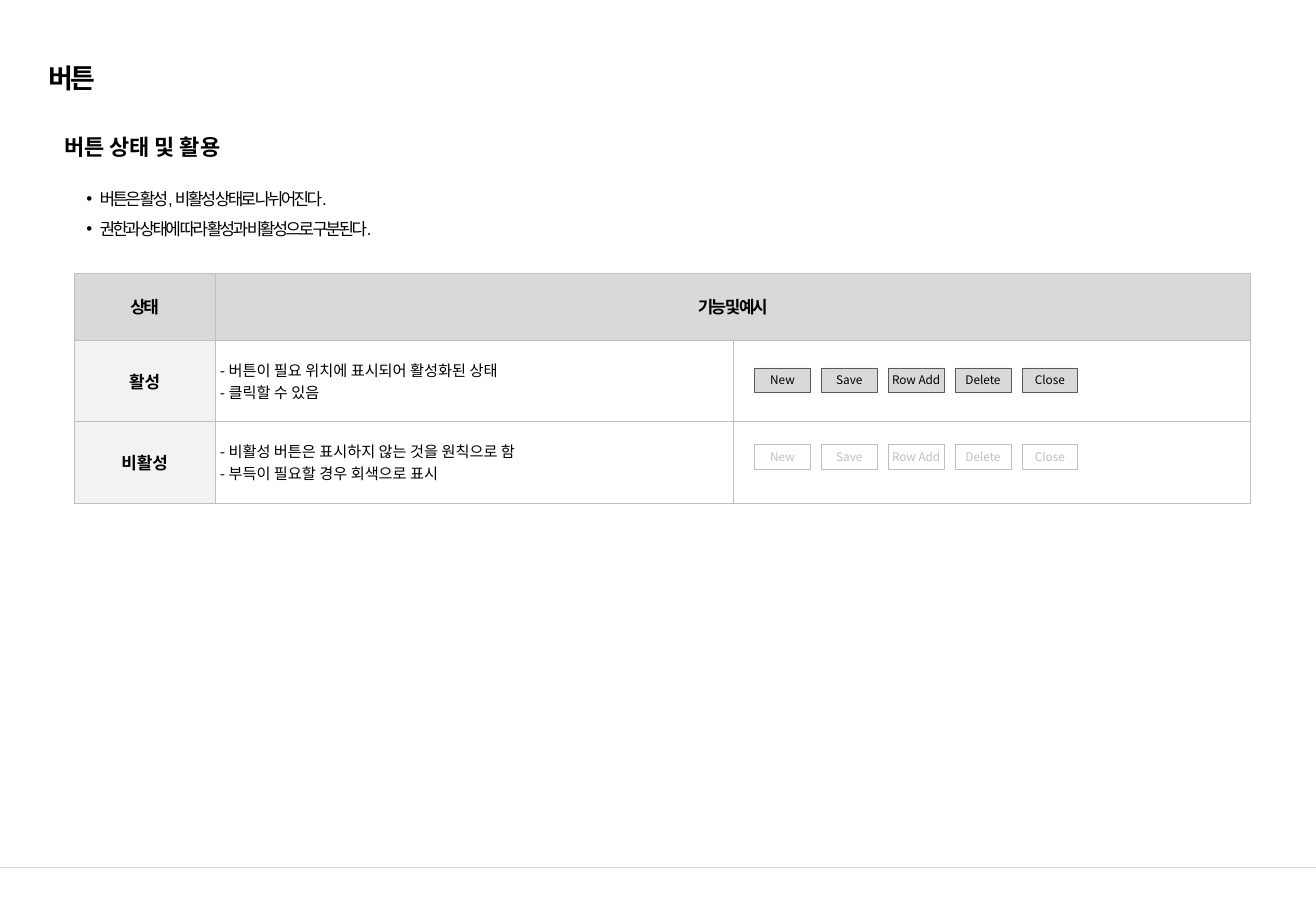
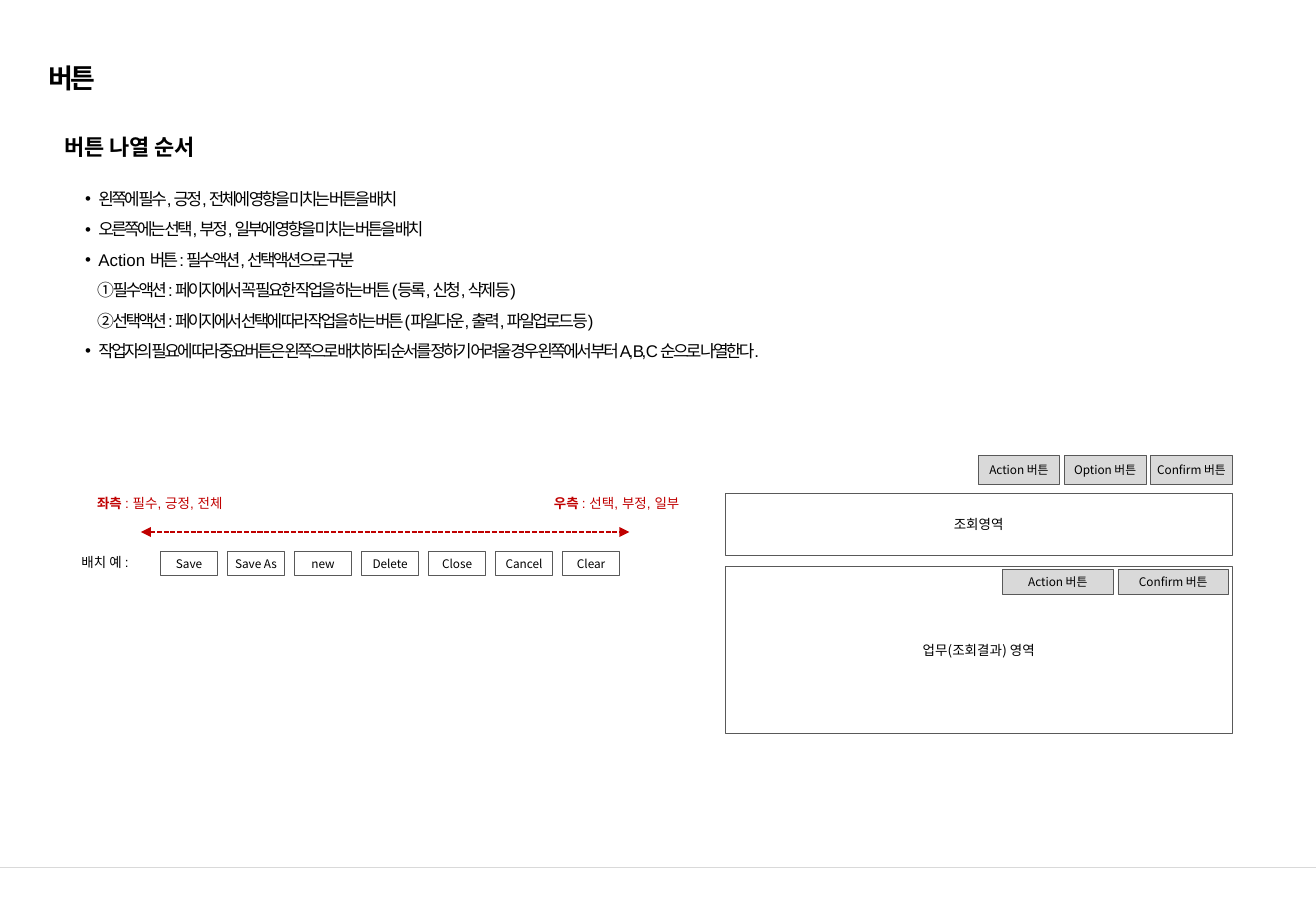
from lxml import etree
from pptx import Presentation
from pptx.dml.color import RGBColor
from pptx.enum.dml import MSO_LINE
from pptx.enum.shapes import MSO_CONNECTOR, MSO_SHAPE
from pptx.enum.text import MSO_ANCHOR as ANCHOR, MSO_AUTO_SIZE as AUTO, PP_ALIGN as ALIGN
from pptx.oxml.ns import qn
from pptx.util import Inches, Pt

COLORS = {
    "text": "000000",
    "white": "FFFFFF",
    "rule": "D9D9D9",
    "fill": "D9D9D9",
    "row_head": "F2F2F2",
    "outline": "595959",
    "muted": "BFBFBF",
    "accent": "C00000",
}
LATIN, KOREAN = "Arial", "Noto Sans CJK KR"
WIDTH, HEIGHT = 10.83, 7.5
TIGHT = -1.5
BULLET_INDENT, BULLET_HANG, STEP_INDENT = 0.2, 0.11, 0.19


def rgb(name):
    return RGBColor.from_string(COLORS[name])


def inches(box):
    return [Inches(v) for v in box]


def sub(parent, tag, **attrs):
    return etree.SubElement(parent, qn(tag), attrs)


def add_run(p, text, size, font=LATIN, color="text", bold=False, spacing=0):
    """Add one run; spacing is the letter spacing in points."""
    r = p.add_run()
    r.text = text
    r.font.size, r.font.bold, r.font.name = Pt(size), bold, font
    r.font.color.rgb = rgb(color)
    rpr = r._r.get_or_add_rPr()
    sub(rpr, "a:ea", typeface=KOREAN)
    if spacing:
        rpr.set("spc", str(int(spacing * 100)))


def next_paragraph(tf, index):
    return tf.add_paragraph() if index else tf.paragraphs[0]


def set_margins(target, x, y):
    target.margin_left = target.margin_right = Inches(x)
    target.margin_top = target.margin_bottom = Inches(y)


def add_text_box(shapes, box, margins=(0, 0), anchor=ANCHOR.TOP, grow=True):
    tf = shapes.add_textbox(*inches(box)).text_frame
    tf.word_wrap = True
    tf.auto_size = AUTO.SHAPE_TO_FIT_TEXT if grow else AUTO.NONE
    tf.vertical_anchor = anchor
    set_margins(tf, *margins)
    return tf


def add_line(shapes, start, end, color, width):
    line = shapes.add_connector(MSO_CONNECTOR.STRAIGHT, *inches(start + end))
    line.line.color.rgb = rgb(color)
    line.line.width = Pt(width)
    sub(line._element.spPr, "a:effectLst")
    return line


def add_panel(shapes, box, label, size=8, fill="white", line="outline", color="text", inset=0.1):
    sp = shapes.add_shape(MSO_SHAPE.RECTANGLE, *inches(box))
    sp.shadow.inherit = False
    sp.fill.solid()
    sp.fill.fore_color.rgb = rgb(fill)
    sp.line.color.rgb = rgb(line)
    sp.line.width = Pt(0.25)
    tf = sp.text_frame
    tf.word_wrap = True
    tf.vertical_anchor = ANCHOR.MIDDLE
    set_margins(tf, inset, 0.05)
    p = tf.paragraphs[0]
    p.alignment = ALIGN.CENTER
    add_run(p, label, size, KOREAN, color)


def add_button_row(shapes, box, labels, gap, **style):
    """Split the box into equal buttons with the given gap between them."""
    left, top, width, height = box
    w = (width - gap * (len(labels) - 1)) / len(labels)
    for i, label in enumerate(labels):
        add_panel(shapes, (left + i * (w + gap), top, w, height), label, size=7, **style)


def add_base_slide(prs, heading):
    """Add a slide with the title, section heading and footer rule."""
    s = prs.slides.add_slide(prs.slide_layouts[6])
    add_line(s.shapes, (0, 7.14), (WIDTH, 7.14), "rule", 0.75)
    tf = add_text_box(s.shapes, (0.3, 0.45, 10.07, 0.38), (0.1, 0.05), ANCHOR.MIDDLE, grow=False)
    add_run(tf.paragraphs[0], "버튼", 16, bold=True, spacing=TIGHT)
    tf = add_text_box(s.shapes, (0.53, 1.01, 9.84, 0.29), anchor=ANCHOR.MIDDLE)
    p = tf.paragraphs[0]
    p.line_spacing, p.space_before = 1.5, Pt(2.6)
    add_run(p, heading, 13, bold=True)
    return s


def add_bullets(shapes, box, items):
    """Place (bulleted, runs) items, each run being (text, letter spacing)."""
    tf = add_text_box(shapes, box)
    for i, (bulleted, runs) in enumerate(items):
        p = next_paragraph(tf, i)
        p.line_spacing = 1.5
        ppr = p._p.get_or_add_pPr()
        ppr.set("marL", str(Inches(BULLET_INDENT if bulleted else STEP_INDENT)))
        ppr.set("indent", str(-Inches(BULLET_HANG) if bulleted else 0))
        if bulleted:
            sub(ppr, "a:buFont", typeface=LATIN)
            sub(ppr, "a:buChar", char="•")
        for text, spacing in runs:
            add_run(p, text, 10, spacing=spacing)


def style_cell(cell, fill):
    tcpr = cell._tc.get_or_add_tcPr()
    for side in ("a:lnL", "a:lnR", "a:lnT", "a:lnB"):
        ln = sub(tcpr, side, w=str(Pt(0.25)))
        sub(sub(ln, "a:solidFill"), "a:srgbClr", val=COLORS["muted"])
    cell.fill.solid()
    cell.fill.fore_color.rgb = rgb(fill)
    cell.vertical_anchor = ANCHOR.MIDDLE


def fill_heading_cell(cell, text, spacing=0):
    p = cell.text_frame.paragraphs[0]
    p.alignment = ALIGN.CENTER
    add_run(p, text, 10, bold=True, spacing=spacing)


def add_state_table(shapes, box, states):
    left, top, width, height = box
    table = shapes.add_table(len(states) + 1, 3, *inches(box)).table
    table.first_row = table.horz_banding = False
    head_w, head_h = 1.16, 0.55
    for i, col in enumerate(table.columns):
        col.width = Inches((width - head_w) / 2 if i else head_w)
    for i, row in enumerate(table.rows):
        row.height = Inches((height - head_h) / len(states) if i else head_h)
        for j, cell in enumerate(row.cells):
            style_cell(cell, "white" if i and j else "row_head" if i else "fill")
    table.cell(0, 1).merge(table.cell(0, 2))
    for j, text in enumerate(("상태", "기능 및 예시")):
        fill_heading_cell(table.cell(0, j), text, TIGHT)
    for i, (state, notes) in enumerate(states, 1):
        fill_heading_cell(table.cell(i, 0), state)
        cell = table.cell(i, 1)
        set_margins(cell, 0.04, 0.04)
        for k, note in enumerate(notes):
            add_run(next_paragraph(cell.text_frame, k), note, 9, KOREAN)


def add_order_example(shapes, left, top):
    """Draw the labelled two-way arrow above the row of ordered buttons."""
    for x, side, rest in ((0, "좌측 ", ": 필수, 긍정, 전체"), (3.76, "우측 ", ": 선택, 부정, 일부")):
        tf = add_text_box(shapes, (left + x, top, 1.35, 0.24), (0.1, 0.05))
        p = tf.paragraphs[0]
        p.alignment = ALIGN.CENTER
        add_run(p, side, 8, color="accent", bold=True)
        add_run(p, rest, 8, color="accent")
    y = top + 0.35
    arrow = add_line(shapes, (left + 0.52, y), (left + 4.54, y), "accent", 1)
    arrow.line.dash_style = MSO_LINE.SQUARE_DOT
    ln = arrow._element.spPr.find(qn("a:ln"))
    for end in ("a:headEnd", "a:tailEnd"):
        sub(ln, end, type="triangle")
    tf = add_text_box(shapes, (left + 0.03, top + 0.53, 0.55, 0.13))
    add_run(tf.paragraphs[0], "배치 예 :", 8)
    labels = ("Save", "Save As", "new", "Delete", "Close", "Cancel", "Clear")
    add_button_row(shapes, (left + 0.68, top + 0.51, 3.78, 0.2), labels, 0.08, inset=0)


def add_screen_layout(shapes, box):
    """Draw the sample screen: button bar, search area and work area."""
    left, top, width, height = box
    right = left + width
    group = shapes.add_group_shape().shapes
    add_panel(group, (left, top + 0.91, width, height - 0.91), "업무(조회결과) 영역")
    add_panel(group, (left, top + 0.31, width, 0.51), "조회영역")
    add_button_row(group, (right - 2.09, top, 2.09, 0.24),
                   ("Action 버튼", "Option 버튼", "Confirm 버튼"), 0.04, fill="fill", inset=0.04)
    add_button_row(shapes, (right - 1.89, top + 0.94, 1.86, 0.2),
                   ("Action 버튼", "Confirm 버튼"), 0.04, fill="fill")


def build_states_slide(prs):
    shapes = add_base_slide(prs, "버튼 상태 및 활용").shapes
    add_state_table(shapes, (0.61, 2.25, 9.68, 1.89), (
        ("활성", ("- 버튼이 필요 위치에 표시되어 활성화된 상태", "- 클릭할 수 있음")),
        ("비활성", ("- 비활성 버튼은 표시하지 않는 것을 원칙으로 함", "- 부득이 필요할 경우 회색으로 표시")),
    ))
    labels = ("New", "Save", "Row Add", "Delete", "Close")
    add_button_row(shapes, (6.21, 3.03, 2.66, 0.2), labels, 0.09, fill="fill", inset=0)
    add_button_row(shapes, (6.21, 3.66, 2.66, 0.2), labels, 0.09,
                   line="muted", color="muted", inset=0)
    add_bullets(shapes, (0.62, 1.47, 9.69, 0.47), (
        (True, [("버튼은 활성, 비활성 상태로 나뉘어진다.", TIGHT)]),
        (True, [("권한과 상태에 따라 활성과 비활성으로 구분된다.", TIGHT)]),
    ))


def build_order_slide(prs):
    shapes = add_base_slide(prs, "버튼 나열 순서").shapes
    add_screen_layout(shapes, (5.97, 3.75, 4.17, 2.29))
    add_order_example(shapes, 0.64, 4.03)
    add_bullets(shapes, (0.61, 1.47, 9.69, 1.48), (
        (True, [("왼쪽에 필수, 긍정, 전체에 영향을 미치는 버튼을 배치", TIGHT)]),
        (True, [("오른쪽에는 선택, 부정, 일부에 영향을 미치는 버튼을 배치", TIGHT)]),
        (True, [("Action ", 0), ("버튼 : 필수액션, 선택액션으로 구분", TIGHT)]),
        (False, [("① 필수액션 : 페이지에서 꼭 필요한 작업을 하는 버튼 (등록, 신청, 삭제 등)", TIGHT)]),
        (False, [("② 선택액션 : 페이지에서 선택에 따라 작업을 하는 버튼 "
                  "(파일다운, 출력, 파일업로드 등)", TIGHT)]),
        (True, [("작업자의 필요에 따라 중요버튼은 왼쪽으로 배치하되 순서를 정하기 어려울 경우 "
                 "왼쪽에서 부터 A, B, C 순으로 나열한다.", TIGHT)]),
    ))


def main():
    prs = Presentation()
    prs.slide_width, prs.slide_height = Inches(WIDTH), Inches(HEIGHT)
    build_states_slide(prs)
    build_order_slide(prs)
    prs.save("out.pptx")


if __name__ == "__main__":
    main()
